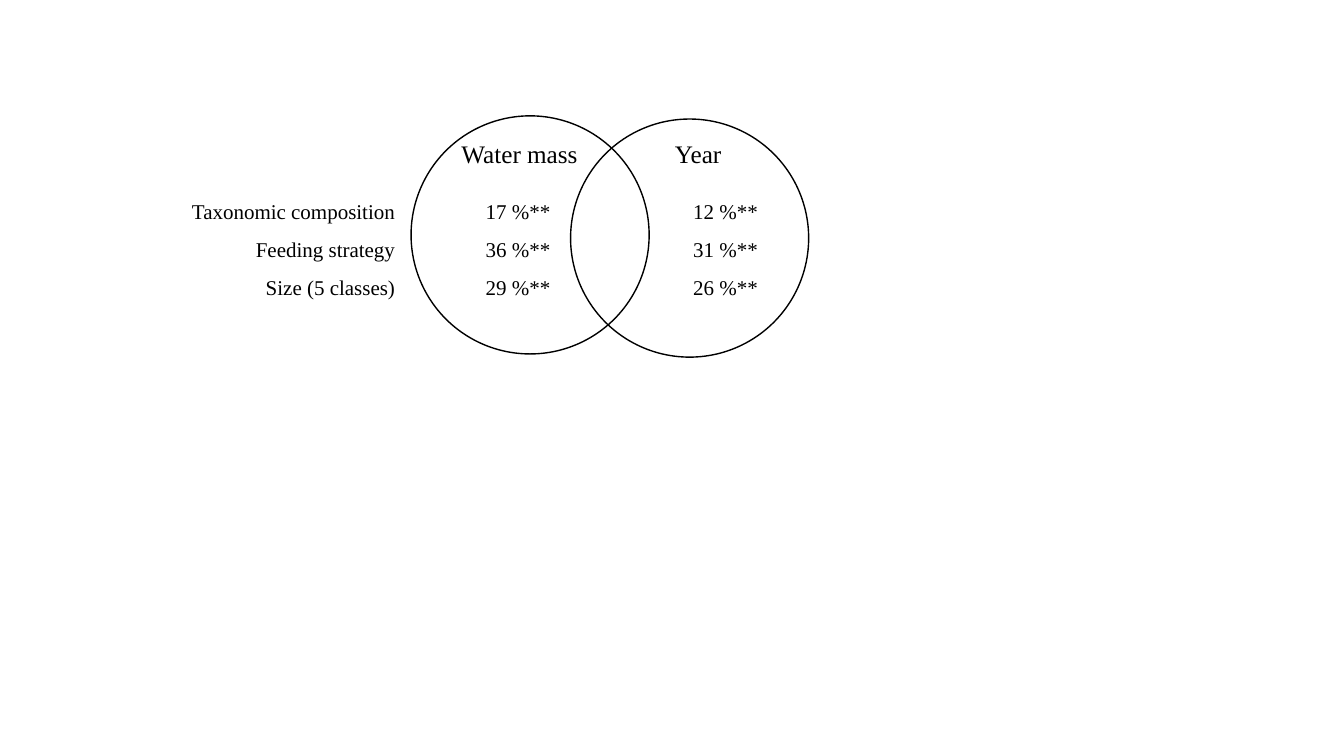
from dataclasses import dataclass

from pptx import Presentation
from pptx.dml.color import RGBColor
from pptx.enum.shapes import MSO_SHAPE as Shape
from pptx.enum.text import MSO_AUTO_SIZE as AutoSize, PP_ALIGN as Align
from pptx.slide import Slide
from pptx.util import Cm, Pt


@dataclass(frozen=True)
class Theme:
    ink: RGBColor = RGBColor(0, 0, 0)
    font: str = "Times New Roman"
    heading: int = 18
    body: int = 15
    outline: int = 1


@dataclass(frozen=True)
class Circle:
    left: float
    top: float


@dataclass(frozen=True)
class Label:
    left: float
    top: float
    width: float
    height: float
    size: int
    lines: tuple[str, ...]
    spacing: float = 1.0
    align: Align = Align.LEFT


THEME = Theme()
DIAMETER = 6.0
HEADING_TOP, HEADING_HEIGHT = 3.35, 1.02
ROWS_TOP, ROWS_HEIGHT = 4.57, 3.02


def heading(left: float, width: float, text: str) -> Label:
    return Label(left, HEADING_TOP, width, HEADING_HEIGHT, THEME.heading, (text,))


def rows(left: float, width: float, *lines: str, align: Align = Align.LEFT) -> Label:
    return Label(left, ROWS_TOP, width, ROWS_HEIGHT, THEME.body, lines, 1.5, align)


CIRCLES = (Circle(10.36, 2.92), Circle(14.38, 3.0))
LABELS = (
    heading(11.38, 3.48, "Water mass"),
    heading(16.76, 1.7, "Year"),
    rows(17.22, 2.16, "12 %**", "31 %**", "26 %**"),
    rows(11.99, 2.26, "17 %**", "36 %**", "29 %**"),
    rows(4.55, 5.66, "Taxonomic composition", "Feeding strategy",
         "Size (5 classes)", align=Align.RIGHT),
)


def draw_circle(s: Slide, circle: Circle) -> None:
    sp = s.shapes.add_shape(Shape.OVAL, Cm(circle.left), Cm(circle.top),
                            Cm(DIAMETER), Cm(DIAMETER))
    sp.shadow.inherit = False
    sp.fill.background()
    sp.line.color.rgb = THEME.ink
    sp.line.width = Pt(THEME.outline)


def draw_label(s: Slide, label: Label) -> None:
    sp = s.shapes.add_textbox(Cm(label.left), Cm(label.top),
                              Cm(label.width), Cm(label.height))
    tf = sp.text_frame
    tf.word_wrap = False
    tf.auto_size = AutoSize.SHAPE_TO_FIT_TEXT
    for i, line in enumerate(label.lines):
        p = tf.add_paragraph() if i else tf.paragraphs[0]
        p.alignment = label.align
        p.line_spacing = label.spacing
        r = p.add_run()
        r.text = line
        r.font.name = THEME.font
        r.font.size = Pt(label.size)
        r.font.color.rgb = THEME.ink


def main() -> None:
    prs = Presentation()
    prs.slide_width, prs.slide_height = Cm(33.87), Cm(19.05)
    s = prs.slides.add_slide(prs.slide_layouts[6])
    for circle in CIRCLES:
        draw_circle(s, circle)
    for label in LABELS:
        draw_label(s, label)
    prs.save("out.pptx")


if __name__ == "__main__":
    main()
